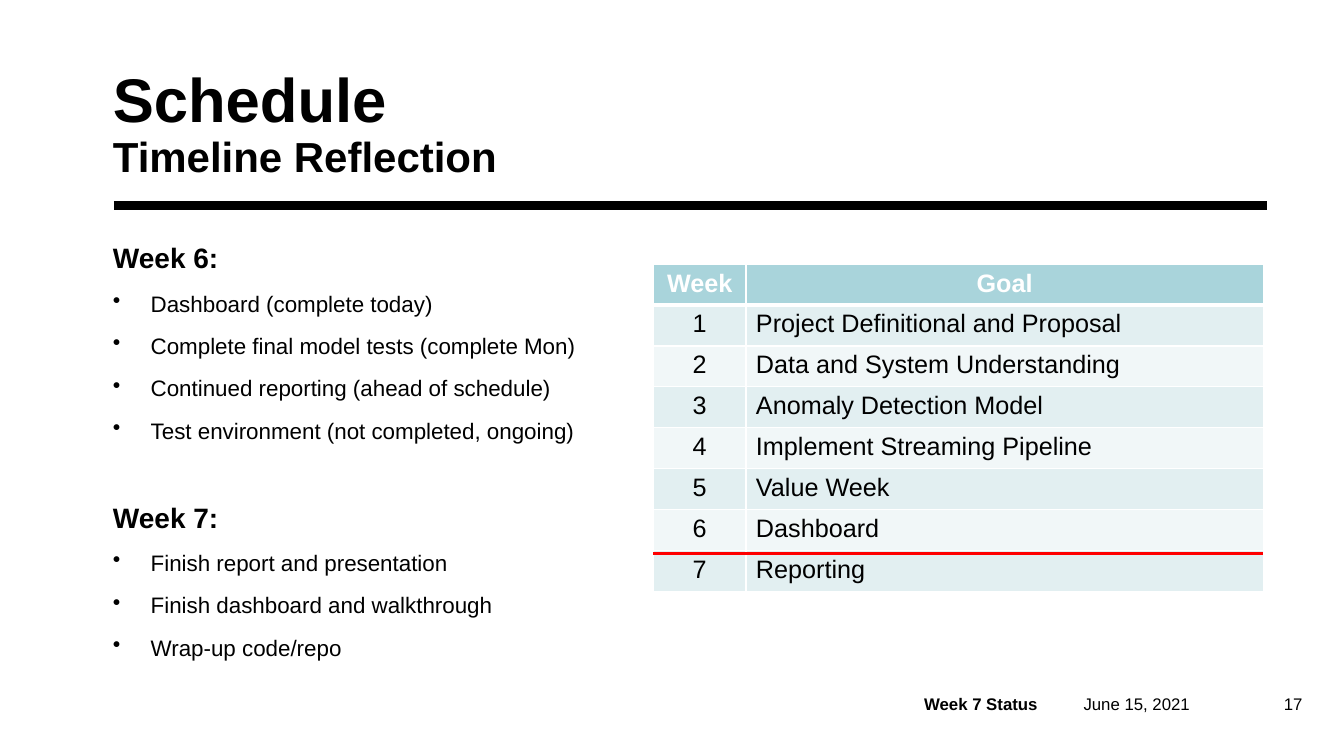
from dataclasses import dataclass

import pptx
import pptx.dml.color
import pptx.enum.shapes
import pptx.enum.text
import pptx.oxml
import pptx.oxml.ns
import pptx.util

Pt = pptx.util.Pt
RGBColor = pptx.dml.color.RGBColor
Align = pptx.enum.text.PP_ALIGN
Anchor = pptx.enum.text.MSO_ANCHOR

BLACK = RGBColor(0x00, 0x00, 0x00)
WHITE = RGBColor(0xFF, 0xFF, 0xFF)
RED = RGBColor(0xFF, 0x00, 0x00)
HEADER = RGBColor(0xA9, 0xD4, 0xDB)
BANDS = (RGBColor(0xE2, 0xEF, 0xF1), RGBColor(0xF1, 0xF7, 0xF8))
FONT = "Arial"
LEFT = 80.64
INDENT = 27
GAP = 11


@dataclass
class Footer:
    text: str
    left: float
    width: float
    inset: float = 7.2
    bold: bool = False
    align: Align = Align.LEFT


@dataclass
class Week:
    heading: str
    tasks: list[str]
    space_before: float


@dataclass
class Rule:
    left: float
    right: float
    y: float
    color: RGBColor
    weight: float


FOOTERS = [
    Footer("June 15, 2021", 774, 120.24, inset=0),
    Footer("Week 7 Status", 653.04, 115.2, bold=True),
    Footer("17", 905.04, 32.4, align=Align.RIGHT),
]
WEEKS = [
    Week("Week 6:", ["Dashboard (complete today)",
                     "Complete final model tests (complete Mon)",
                     "Continued reporting (ahead of schedule)",
                     "Test environment (not completed, ongoing)"], GAP),
    Week("Week 7:", ["Finish report and presentation",
                     "Finish dashboard and walkthrough",
                     "Wrap-up code/repo"], 40.4),
]
GOALS = ["Project Definitional and Proposal", "Data and System Understanding",
         "Anomaly Detection Model", "Implement Streaming Pipeline",
         "Value Week", "Dashboard", "Reporting"]
TABLE_LEFT, TABLE_TOP, ROW_HEIGHT = 466.8, 188.7, 29.2
COLUMNS = (66, 369.6)
RULES = [
    Rule(81.36, 905.04, 146.88, BLACK, 6),
    Rule(TABLE_LEFT, TABLE_LEFT + sum(COLUMNS), 395.1, RED, 2),
]


def add_run(p, text: str, size: float, bold: bool = False,
            color: RGBColor = BLACK) -> None:
    r = p.add_run()
    r.text = text
    for name, value in {"name": FONT, "size": Pt(size), "bold": bold}.items():
        setattr(r.font, name, value)
    r.font.color.rgb = color


def set_frame(tf, anchor: Anchor, x: float = 0, y: float = 0) -> None:
    formats = {"word_wrap": True, "auto_size": pptx.enum.text.MSO_AUTO_SIZE.NONE,
               "vertical_anchor": anchor, "margin_left": Pt(x), "margin_right": Pt(x),
               "margin_top": Pt(y), "margin_bottom": Pt(y)}
    for name, value in formats.items():
        setattr(tf, name, value)


def add_rule(s, rule: Rule) -> None:
    line = s.shapes.add_connector(pptx.enum.shapes.MSO_CONNECTOR.STRAIGHT,
                                  Pt(rule.left), Pt(rule.y), Pt(rule.right), Pt(rule.y))
    line.line.color.rgb = rule.color
    line.line.width = Pt(rule.weight)
    pptx.oxml.ns.qn("a:effectLst")
    line._element.spPr.append(pptx.oxml.parse_xml(
        f'<a:effectLst {pptx.oxml.ns.nsdecls("a")}/>'))


def add_footer(s, footer: Footer) -> None:
    sp = s.shapes.add_textbox(Pt(footer.left), Pt(495.36), Pt(footer.width), Pt(14.4))
    set_frame(sp.text_frame, Anchor.MIDDLE, footer.inset, 3.6)
    p = sp.text_frame.paragraphs[0]
    p.alignment = footer.align
    add_run(p, footer.text, 12, footer.bold)


def add_bullet(p) -> None:
    pPr = p._p.get_or_add_pPr()
    pPr.set("marL", str(Pt(INDENT)))
    pPr.set("indent", str(-Pt(INDENT)))
    pPr.append(pptx.oxml.parse_xml(
        f'<a:buChar {pptx.oxml.ns.nsdecls("a")} char="•"/>'))


def add_weeks(s, weeks: list[Week]) -> None:
    sp = s.shapes.add_textbox(Pt(LEFT), Pt(172.08), Pt(388.08), Pt(316.8))
    tf = sp.text_frame
    set_frame(tf, Anchor.TOP)
    for i, week in enumerate(weeks):
        p = tf.add_paragraph() if i else tf.paragraphs[0]
        p.space_before = Pt(week.space_before)
        add_run(p, week.heading, 20, bold=True)
        for task in week.tasks:
            p = tf.add_paragraph()
            p.space_before = Pt(GAP)
            add_bullet(p)
            add_run(p, task, 16)


def set_cell(cell, text: str, row: int, centred: bool) -> None:
    header = row == 0
    p = cell.text_frame.paragraphs[0]
    p.alignment = Align.CENTER if centred or header else Align.LEFT
    add_run(p, text, 18, header, WHITE if header else BLACK)
    # White borders, heavier around the header's lower edge
    tcPr = cell._tc.get_or_add_tcPr()
    widths = {"lnL": 1, "lnR": 1, "lnT": 3 if row == 1 else 1, "lnB": 3 if header else 1}
    for tag, width in widths.items():
        tcPr.append(pptx.oxml.parse_xml(
            f'<a:{tag} {pptx.oxml.ns.nsdecls("a")} w="{Pt(width)}"><a:solidFill>'
            f'<a:srgbClr val="{WHITE}"/></a:solidFill></a:{tag}>'))
    cell.fill.solid()
    cell.fill.fore_color.rgb = HEADER if header else BANDS[(row - 1) % 2]


def add_goals(s, goals: list[str]) -> None:
    rows = [("Week", "Goal")] + [(str(n), goal) for n, goal in enumerate(goals, 1)]
    table = s.shapes.add_table(len(rows), len(COLUMNS), Pt(TABLE_LEFT), Pt(TABLE_TOP),
                               Pt(sum(COLUMNS)), Pt(ROW_HEIGHT * len(rows))).table
    for column, width in zip(table.columns, COLUMNS):
        column.width = Pt(width)
    for i, texts in enumerate(rows):
        table.rows[i].height = Pt(ROW_HEIGHT)
        for j, text in enumerate(texts):
            set_cell(table.cell(i, j), text, i, centred=j == 0)


prs = pptx.Presentation()
prs.slide_width, prs.slide_height = Pt(960), Pt(540)
s = prs.slides.add_slide(prs.slide_layouts[5])

# Title
title = s.shapes.title
title.left, title.top, title.width, title.height = Pt(LEFT), Pt(30.24), Pt(794.16), Pt(99.36)
set_frame(title.text_frame, Anchor.BOTTOM)
p = title.text_frame.paragraphs[0]
p.alignment = Align.LEFT
p.line_spacing = 0.9
add_run(p, "Schedule", 44, bold=True)
p.add_line_break()
add_run(p, "Timeline Reflection", 30, bold=True)

# Footer
for footer in FOOTERS:
    add_footer(s, footer)

# Weekly tasks and goal table
add_weeks(s, WEEKS)
add_goals(s, GOALS)

# Title rule and progress marker
for rule in RULES:
    add_rule(s, rule)

prs.save("out.pptx")
